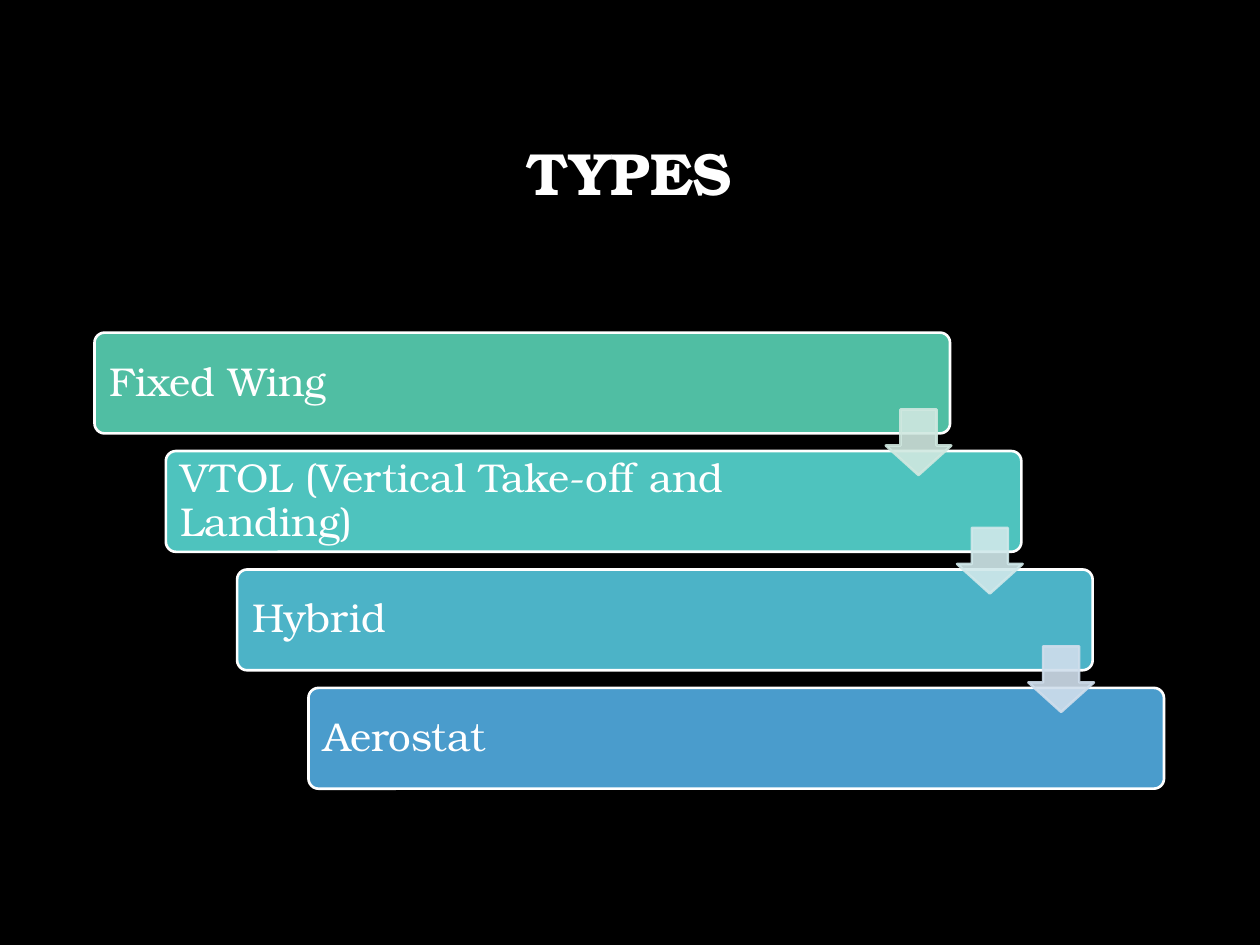
from pptx import Presentation
from pptx.dml.color import RGBColor
from pptx.enum.shapes import MSO_SHAPE as Kind
from pptx.enum.text import MSO_ANCHOR as Anchor, PP_ALIGN as Align
from pptx.oxml.ns import qn
from pptx.util import Inches, Pt
from lxml.etree import SubElement

FONT = "TeX Gyre Bonum"
WHITE = "FFFFFF"
BLACK = "000000"


def paint(fill, color, alpha=100):
    """Fill with a hex colour; alpha is the opacity in percent."""
    fill.solid()
    fill.fore_color.rgb = RGBColor.from_string(color)
    if alpha < 100:
        node = fill._xPr.find(qn("a:solidFill"))[0]
        SubElement(node, qn("a:alpha"), val=str(alpha * 1000))


def write(frame, text, size, align, bold=False):
    frame.text = text
    frame.word_wrap = True
    frame.vertical_anchor = Anchor.MIDDLE
    line = frame.paragraphs[0]
    line.alignment = align
    line.line_spacing = 0.9
    font = line.runs[0].font
    font.name, font.size, font.bold = FONT, Pt(size), bold
    paint(font.fill, WHITE)


deck = Presentation()
deck.slide_width, deck.slide_height = Inches(10), Inches(7.5)
slide = deck.slides.add_slide(deck.slide_layouts[5])
paint(slide.background.fill, BLACK)

# Title
title = slide.shapes.title
title.left, title.top = Inches(0.75), Inches(0.67)
title.width, title.height = Inches(8.49), Inches(1.45)
write(title.text_frame, "TYPES", 34, Align.CENTER, True)

# Dark panel behind the steps
panel = slide.shapes.add_shape(
    Kind.RECTANGLE, 0, Inches(2.29), deck.slide_width, Inches(5.21))
panel.shadow.inherit = False
paint(panel.fill, BLACK, 50)
panel.line.fill.background()

# Staircase: each step moves right by DX and down by DY
X, Y, DX, DY = 0.75, 2.64, 0.566, 0.94
WIDE, HIGH, ARROW, PAD = 6.79, 0.8, 0.52, 0.02
steps = [
    ("Fixed Wing", "50BEA3", 5.87),
    ("VTOL (Vertical Take-off and Landing)", "4EC3BE", 5.66),
    ("Hybrid", "4CB3C7", 5.66),
    ("Aerostat", "4A9CCC", 5.66),
]
group = slide.shapes.add_group_shape().shapes
for i, (text, color, span) in enumerate(steps):
    left, top = X + i * DX, Y + i * DY
    bar = group.add_shape(Kind.ROUNDED_RECTANGLE, Inches(left), Inches(top),
                          Inches(WIDE), Inches(HIGH))
    bar.adjustments[0] = 0.1
    bar.shadow.inherit = False
    paint(bar.fill, color)
    paint(bar.line.fill, WHITE)
    bar.line.width = Pt(1.5)

    label = group.add_textbox(Inches(left + PAD), Inches(top + PAD),
                              Inches(span), Inches(HIGH - 2 * PAD))
    frame = label.text_frame
    frame.margin_left = frame.margin_right = Inches(0.1)
    frame.margin_top = frame.margin_bottom = Inches(0.1)
    write(frame, text, 23, Align.LEFT)

# Arrows from each step to the next, at the bar's right end
for i, color in enumerate(["D0E8E0", "D0E8EA", "D0DEEC"]):
    arrow = group.add_shape(
        Kind.DOWN_ARROW, Inches(X + WIDE - ARROW + i * DX + 0.01),
        Inches(Y + 0.61 + i * DY), Inches(ARROW), Inches(ARROW))
    arrow.adjustments[0], arrow.adjustments[1] = 0.55, 0.45
    arrow.shadow.inherit = False
    paint(arrow.fill, color, 90)
    paint(arrow.line.fill, color, 90)
    arrow.line.width = Pt(1.5)

deck.save("out.pptx")
